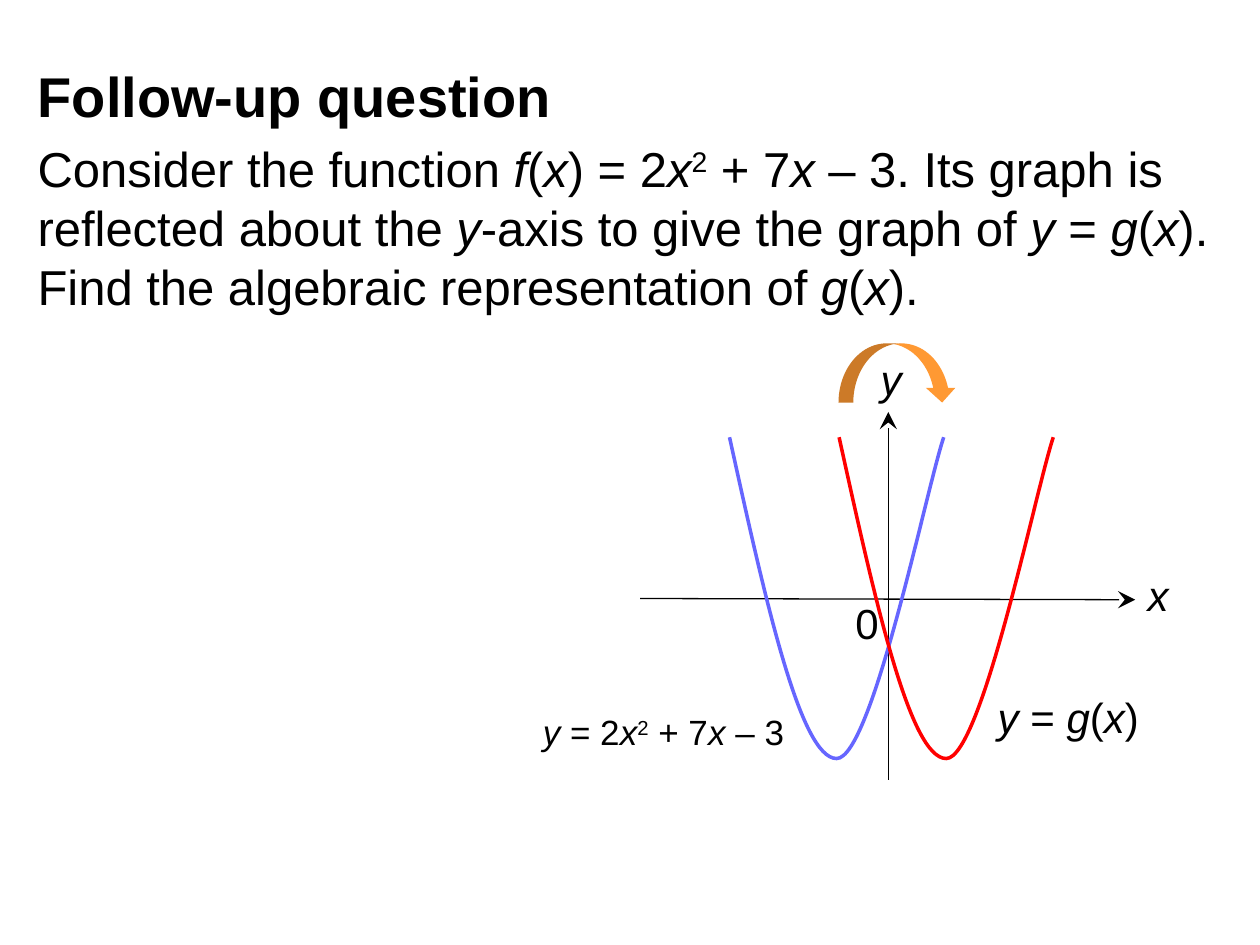
import pptx
import pptx.util
import pptx.dml.color
import pptx.enum.shapes
import pptx.enum.text
import pptx.oxml.ns
import lxml.etree

Inches = pptx.util.Inches
Pt = pptx.util.Pt
RGBColor = pptx.dml.color.RGBColor
qn = pptx.oxml.ns.qn

BLACK = RGBColor(0x00, 0x00, 0x00)
BLUE = RGBColor(0x66, 0x66, 0xFF)
RED = RGBColor(0xFF, 0x00, 0x00)
ORANGE = RGBColor(0xFF, 0x99, 0x33)

PLAIN, ITALIC, RAISED, BOLD = "plain", "italic", "raised", "bold"
G_OF_X = [("g", ITALIC), ("(", PLAIN), ("x", ITALIC)]
X_TERMS = [("x", ITALIC), ("2", RAISED), (" + 7", PLAIN), ("x", ITALIC)]

TITLE = [("Follow-up question", BOLD)]
QUESTION = [
    ("Consider the function ", PLAIN), ("f", ITALIC), ("(", PLAIN), ("x", ITALIC),
    (") = 2", PLAIN), *X_TERMS,
    (" – 3. Its graph is reflected about the ", PLAIN), ("y", ITALIC),
    ("-axis to give the graph of ", PLAIN), ("y", ITALIC), (" = ", PLAIN), *G_OF_X,
    ("). Find the algebraic representation of ", PLAIN), *G_OF_X, (").", PLAIN),
]

MARGIN = 0.2
TITLE_FRAME = (MARGIN, 0.44, 4.31, 0.64)
TEXT_BOXES = [
    ((MARGIN, 1.05, 9.53, 1.52), 28, QUESTION),
    ((6.69, 4.69, 0.99, 0.5), 24, [("0", PLAIN)]),
    ((6.89, 2.76, 0.99, 0.5), 24, [("y", ITALIC)]),
    ((9.01, 4.47, 0.63, 0.5), 24, [("x", ITALIC)]),
    ((4.21, 5.59, 2.2, 0.43), 20,
     [("y ", ITALIC), ("= 2", PLAIN), *X_TERMS, (" – 3", PLAIN)]),
    ((7.82, 5.44, 1.66, 0.5), 24,
     [("y ", ITALIC), ("= ", PLAIN), *G_OF_X, (")", PLAIN)]),
]
AXES = [((7.05, 6.19), (7.05, 3.27)), ((5.08, 4.75), (9.01, 4.76))]
PARABOLA = [(0.28, 1.27), (0.56, 2.55), (0.85, 2.55),
            (1.13, 2.55), (1.56, 0.42), (1.7, 0)]
CURVES = [((5.79, 3.47), BLUE), ((6.66, 3.47), RED)]
ARROW_FRAME = (6.89, 2.49, 0.47, 0.94)


def write_spans(frame, size, spans):
    para = frame.paragraphs[0]
    para.alignment = pptx.enum.text.PP_ALIGN.LEFT
    para.space_before = Pt(0)
    for text, style in spans:
        span = para.add_run()
        span.text = text
        span.font.name = "Arial"
        span.font.size = Pt(size)
        span.font.color.rgb = BLACK
        span.font.bold = style == BOLD
        span.font.italic = style == ITALIC
        if style == RAISED:
            span._r.get_or_add_rPr().set("baseline", "30000")


def add_title(page):
    title = page.shapes.title
    title.left, title.top, title.width, title.height = map(Inches, TITLE_FRAME)
    frame = title.text_frame
    frame.word_wrap = False
    frame.auto_size = pptx.enum.text.MSO_AUTO_SIZE.NONE
    frame.vertical_anchor = pptx.enum.text.MSO_ANCHOR.TOP
    write_spans(frame, 32, TITLE)


def add_text(page, place, size, spans):
    box = page.shapes.add_textbox(*map(Inches, place))
    box.text_frame.word_wrap = True
    write_spans(box.text_frame, size, spans)


def add_axis(page, start, end):
    axis = page.shapes.add_connector(
        pptx.enum.shapes.MSO_CONNECTOR.STRAIGHT, *map(Inches, (*start, *end)))
    axis.line.color.rgb = BLACK
    axis.line.width = Pt(0.75)
    lxml.etree.SubElement(axis.line._get_or_add_ln(), qn("a:tailEnd"),
                          type="stealth", w="lg", len="lg")
    lxml.etree.SubElement(axis._element.spPr, qn("a:effectLst"))


def bend_segments(shape):
    outline = shape._element.spPr.find(".//" + qn("a:path"))
    segments = outline.findall(qn("a:lnTo"))
    for first in range(0, len(segments), 3):
        bend = lxml.etree.SubElement(outline, qn("a:cubicBezTo"))
        for segment in segments[first:first + 3]:
            bend.append(segment[0])
            outline.remove(segment)


def add_curve(page, origin, color):
    placed = [(Inches(origin[0] + x), Inches(origin[1] + y)) for x, y in PARABOLA]
    builder = page.shapes.build_freeform(*map(Inches, origin))
    builder.add_line_segments(placed, close=False)
    curve = builder.convert_to_shape()
    bend_segments(curve)
    curve.shadow.inherit = False
    curve.fill.background()
    curve.line.color.rgb = color
    curve.line.width = Pt(2)


def add_reflection_arrow(page):
    arrow = page.shapes.add_shape(
        pptx.enum.shapes.MSO_SHAPE.CURVED_LEFT_ARROW, *map(Inches, ARROW_FRAME))
    arrow.rotation = 270
    for index, share in enumerate((0.25, 0.5, 0.25)):
        arrow.adjustments[index] = share
    arrow.shadow.inherit = False
    arrow.fill.solid()
    arrow.fill.fore_color.rgb = ORANGE
    arrow.line.fill.background()


def main():
    deck = pptx.Presentation()
    deck.slide_width, deck.slide_height = Inches(10), Inches(7.5)
    page = deck.slides.add_slide(deck.slide_layouts[5])
    add_title(page)
    for place, size, spans in TEXT_BOXES:
        add_text(page, place, size, spans)
    for start, end in AXES:
        add_axis(page, start, end)
    for origin, color in CURVES:
        add_curve(page, origin, color)
    add_reflection_arrow(page)
    deck.save("out.pptx")


if __name__ == "__main__":
    main()
